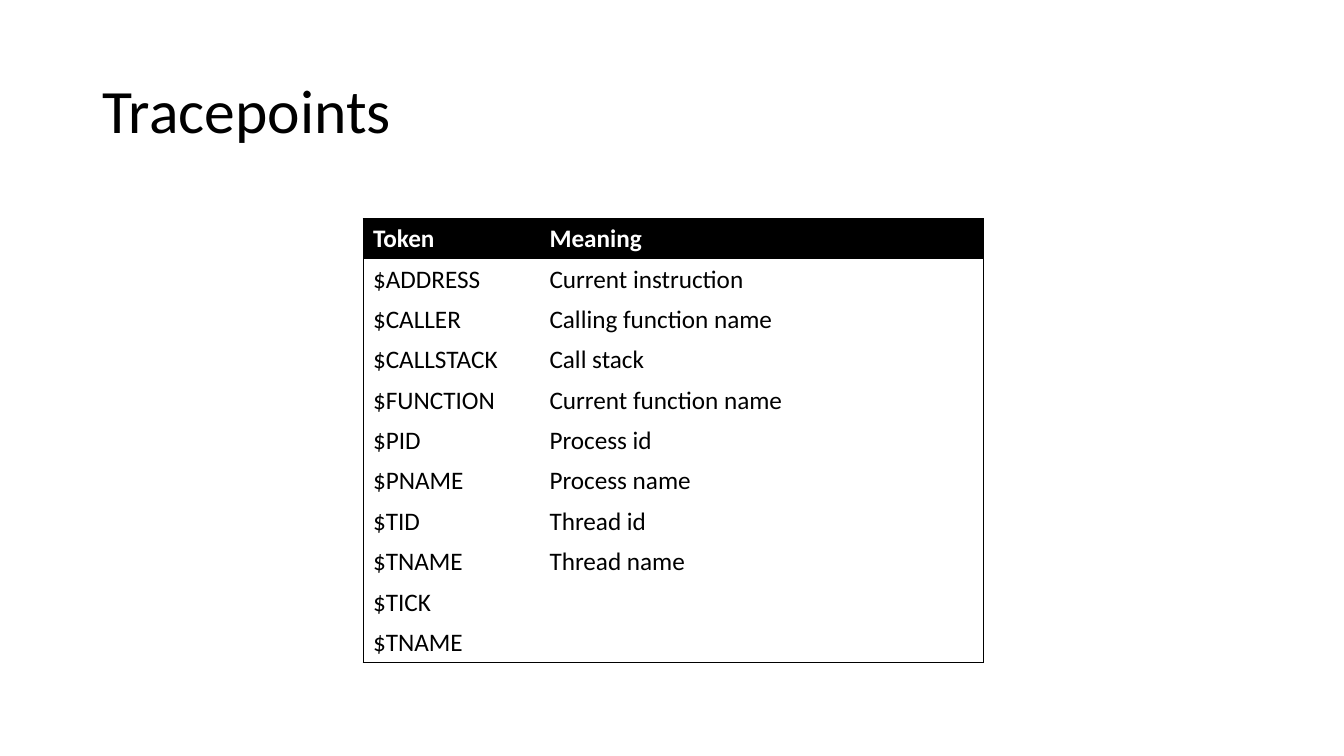
from lxml.etree import SubElement as Sub
from pptx import Presentation
from pptx.dml.color import RGBColor as RGB
from pptx.enum.text import MSO_ANCHOR as Anchor
from pptx.oxml.ns import qn
from pptx.util import Inches as In, Pt

# Content
TITLE = "Tracepoints"
ROWS = [
    ("Token", "Meaning"),
    ("$ADDRESS", "Current instruction"),
    ("$CALLER", "Calling function name"),
    ("$CALLSTACK", "Call stack"),
    ("$FUNCTION", "Current function name"),
    ("$PID", "Process id"),
    ("$PNAME", "Process name"),
    ("$TID", "Thread id"),
    ("$TNAME", "Thread name"),
    ("$TICK", ""),
    ("$TNAME", ""),
]

# Style and grid
BLACK = RGB(0, 0, 0)
WHITE = RGB(255, 255, 255)
FONT = "Calibri"
WIDE, HIGH = 13.33, 7.5
COLS = (1.75, 4.4)
ROW = 0.4
LEFT, TOP = 3.6, 2.17


def style(font, size, color, bold=False):
    font.name, font.size, font.bold = FONT, Pt(size), bold
    font.color.rgb = color


def edge(cell, side, shown):
    line = Sub(cell._tc.get_or_add_tcPr(), qn("a:ln" + side), w=str(Pt(0.5)))
    if shown:
        fill = Sub(line, qn("a:solidFill"))
        Sub(fill, qn("a:srgbClr"), val=str(BLACK))
    else:
        Sub(line, qn("a:noFill"))


def add_title(slide):
    box = slide.shapes.add_textbox(In(0.92), In(0.4), In(11.5), In(1.45))
    frame = box.text_frame
    frame.word_wrap = True
    frame.vertical_anchor = Anchor.MIDDLE
    para = frame.paragraphs[0]
    para.line_spacing = 0.9
    run = para.add_run()
    run.text = TITLE
    style(run.font, 44, BLACK)


def add_tokens(slide):
    count = len(ROWS)
    table = slide.shapes.add_table(
        count, len(COLS), In(LEFT), In(TOP), In(sum(COLS)), In(ROW * count)
    ).table
    table.horz_banding = False
    for col, width in zip(table.columns, COLS):
        col.width = In(width)
    for r, texts in enumerate(ROWS):
        head = r == 0
        for c, text in enumerate(texts):
            cell = table.cell(r, c)
            cell.vertical_anchor = Anchor.MIDDLE
            # Only the outer frame is drawn
            edge(cell, "L", c == 0)
            edge(cell, "R", c == len(COLS) - 1)
            edge(cell, "T", head)
            edge(cell, "B", r == count - 1)
            if head:
                cell.fill.solid()
                cell.fill.fore_color.rgb = BLACK
            else:
                cell.fill.background()
            para = cell.text_frame.paragraphs[0]
            if text:
                run = para.add_run()
                run.text = text
                style(run.font, 18, WHITE if head else BLACK, head)


def main():
    deck = Presentation()
    deck.slide_width, deck.slide_height = In(WIDE), In(HIGH)
    slide = deck.slides.add_slide(deck.slide_layouts[6])
    add_title(slide)
    add_tokens(slide)
    deck.save("out.pptx")


if __name__ == "__main__":
    main()
